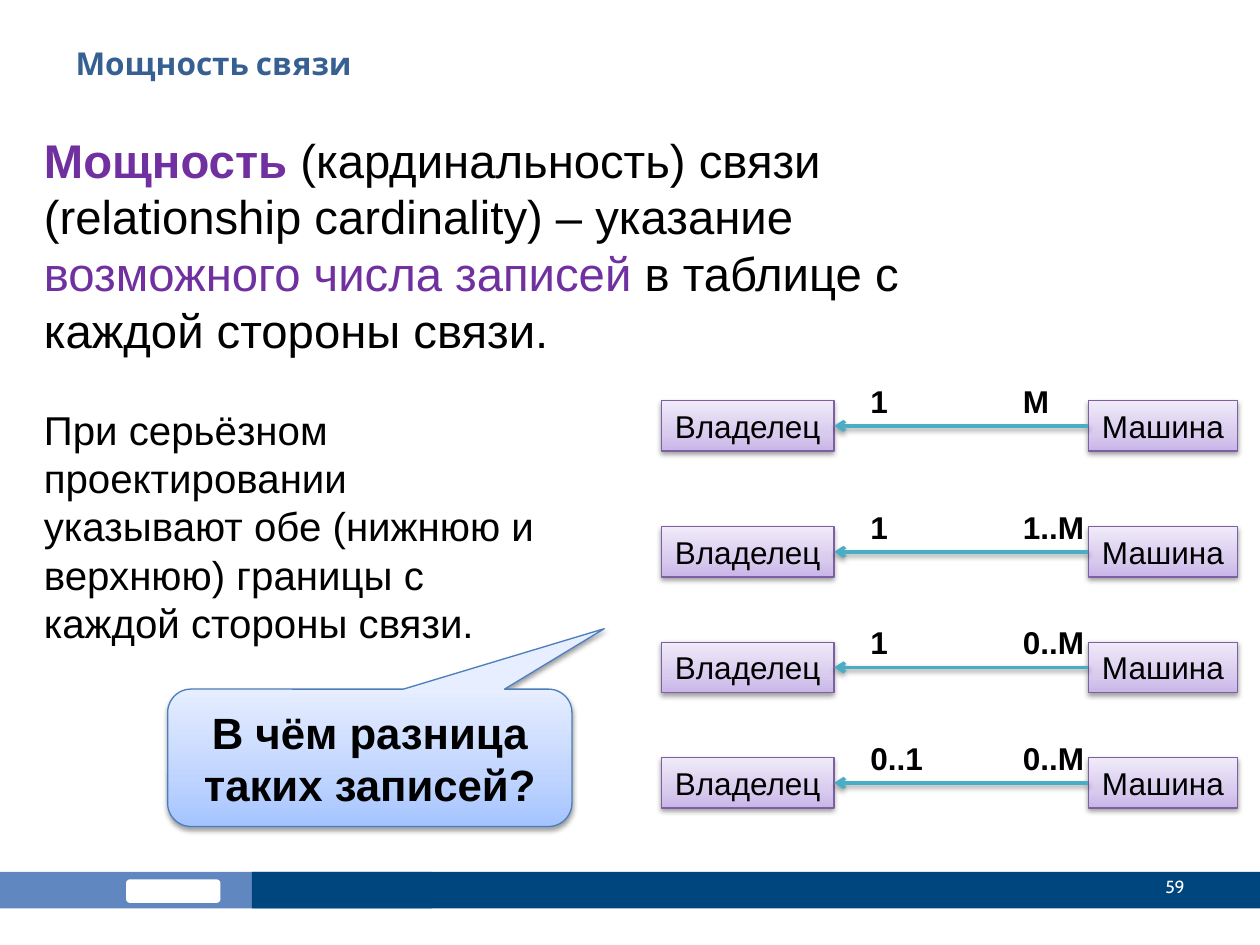
from pptx import Presentation
from pptx.dml.color import RGBColor
from pptx.enum.shapes import MSO_CONNECTOR as Connector, MSO_SHAPE as Shape
from pptx.enum.text import MSO_ANCHOR as Anchor, PP_ALIGN as Align
from pptx.oxml import parse_xml
from pptx.oxml.ns import nsdecls
from pptx.util import Pt

COLORS = {
    "title": "376092", "text": "000000", "accent": "7030A0", "white": "FFFFFF",
    "footer_light": "6087BF", "footer_dark": "00467E", "arrow": "4BACC6",
    "entity_line": "7D60A0", "callout_line": "4B7EBC",
}
GRADIENTS = {
    "entity": {0: "C9B5E8", 35: "D8CBEE", 100: "F0EAF9"},
    "callout": {0: "A4C4FF", 35: "BFD4FF", 100: "E6EEFF"},
}


def write(shape, text, size=18, color="text", bold=False, font="Arial",
          align=Align.LEFT, anchor=Anchor.TOP, wrap=True):
    frame = shape.text_frame
    frame.word_wrap = wrap
    frame.vertical_anchor = anchor
    paragraph = frame.paragraphs[0]
    paragraph.alignment = align
    run = paragraph.add_run()
    run.text = text
    run.font.size = Pt(size)
    run.font.name = font
    run.font.bold = bold
    run.font.color.rgb = RGBColor.from_string(COLORS[color])


def add_shadow(properties):
    for effects in properties.findall("{*}effectLst"):
        properties.remove(effects)
    properties.append(parse_xml(
        f'<a:effectLst {nsdecls("a")}><a:outerShdw blurRad="{Pt(3.1)}" dist="{Pt(1.6)}" '
        'dir="5400000" rotWithShape="0"><a:srgbClr val="000000"><a:alpha val="38000"/>'
        '</a:srgbClr></a:outerShdw></a:effectLst>'))


presentation = Presentation()
presentation.slide_width = Pt(720)
presentation.slide_height = Pt(540)
slide = presentation.slides.add_slide(presentation.slide_layouts[5])
shapes = slide.shapes

title = shapes.title
title.left, title.top, title.width, title.height = Pt(36), Pt(21.6), Pt(648), Pt(56)
write(title, "Мощность связи", color="title", bold=True, font="Cabin")

for kind, left, top, width, height, color in [
    (Shape.RECTANGLE, 0, 498.2, 247, 20.9, "footer_light"),
    (Shape.ROUNDED_RECTANGLE, 72, 502.5, 54, 13.5, "white"),
    (Shape.RECTANGLE, 144, 498.2, 576, 20.9, "footer_dark"),
]:
    block = shapes.add_shape(kind, Pt(left), Pt(top), Pt(width), Pt(height))
    block.shadow.inherit = False
    block.fill.solid()
    block.fill.fore_color.rgb = RGBColor.from_string(COLORS[color])
    block.line.fill.background()

page_number = shapes.add_textbox(Pt(606), Pt(492), Pt(78), Pt(28.8))
write(page_number, "59", size=10, color="white", font="Cabin",
      align=Align.RIGHT, anchor=Anchor.MIDDLE)

definition = shapes.add_textbox(Pt(18), Pt(71.3), Pt(594), Pt(138))
for text, color, bold in [
    ("Мощность ", "accent", True),
    ("(кардинальность) связи (relationship cardinality) – указание ", "text", False),
    ("возможного числа записей ", "accent", False),
    ("в таблице с каждой стороны связи.", "text", False),
]:
    write(definition, text, size=27, color=color, bold=bold)
definition.text_frame.paragraphs[0].space_before = Pt(5.4)

advice = shapes.add_textbox(Pt(18), Pt(228), Pt(297), Pt(147))
write(advice, "При серьёзном проектировании указывают обе (нижнюю и верхнюю) "
      "границы с каждой стороны связи.", size=23)

ENTITY_HEIGHT = 28.8
OWNER_LEFT, OWNER_WIDTH = 378, 98.6
CAR_LEFT, CAR_WIDTH = 622, 85
gradient_shapes = []

for top, owner_count, car_count in [
    (229, "1", "M"), (301, "1", "1..M"), (367, "1", "0..M"), (433, "0..1", "0..M"),
]:
    for name, left, width in [("Владелец", OWNER_LEFT, OWNER_WIDTH),
                              ("Машина", CAR_LEFT, CAR_WIDTH)]:
        entity = shapes.add_shape(Shape.RECTANGLE, Pt(left), Pt(top), Pt(width), Pt(ENTITY_HEIGHT))
        write(entity, name, align=Align.CENTER, wrap=False)
        gradient_shapes.append((entity, "entity"))

    middle = Pt(top + ENTITY_HEIGHT / 2)
    arrow = shapes.add_connector(Connector.STRAIGHT, Pt(CAR_LEFT), middle,
                                 Pt(OWNER_LEFT + OWNER_WIDTH), middle)
    arrow.line.width = Pt(2)
    arrow.line.color.rgb = RGBColor.from_string(COLORS["arrow"])
    arrow.line._get_or_add_ln().append(parse_xml(f'<a:tailEnd {nsdecls("a")} type="arrow"/>'))
    add_shadow(arrow._element.spPr)

    for count, left in [(car_count, 577.4), (owner_count, 490.3)]:
        label = shapes.add_textbox(Pt(left), Pt(top - 14.4), Pt(50), Pt(ENTITY_HEIGHT))
        write(label, count, bold=True, wrap=False)

callout = shapes.add_shape(Shape.ROUNDED_RECTANGULAR_CALLOUT,
                           Pt(95.8), Pt(393.8), Pt(231), Pt(78.5))
for index, adjustment in enumerate([0.58, -0.94, 0.17]):
    callout.adjustments[index] = adjustment
write(callout, "В чём разница таких записей?", size=25, bold=True,
      align=Align.CENTER, anchor=Anchor.MIDDLE)
gradient_shapes.append((callout, "callout"))

for shape, style in gradient_shapes:
    shape.shadow.inherit = False
    shape.line.width = Pt(0.75)
    shape.line.color.rgb = RGBColor.from_string(COLORS[f"{style}_line"])
    stops = "".join(f'<a:gs pos="{position * 1000}"><a:srgbClr val="{color}"/></a:gs>'
                    for position, color in GRADIENTS[style].items())
    properties = shape._element.spPr
    properties.insert(2, parse_xml(
        f'<a:gradFill {nsdecls("a")} rotWithShape="1"><a:gsLst>{stops}</a:gsLst>'
        '<a:lin ang="16200000" scaled="0"/></a:gradFill>'))
    add_shadow(properties)

presentation.save("out.pptx")
